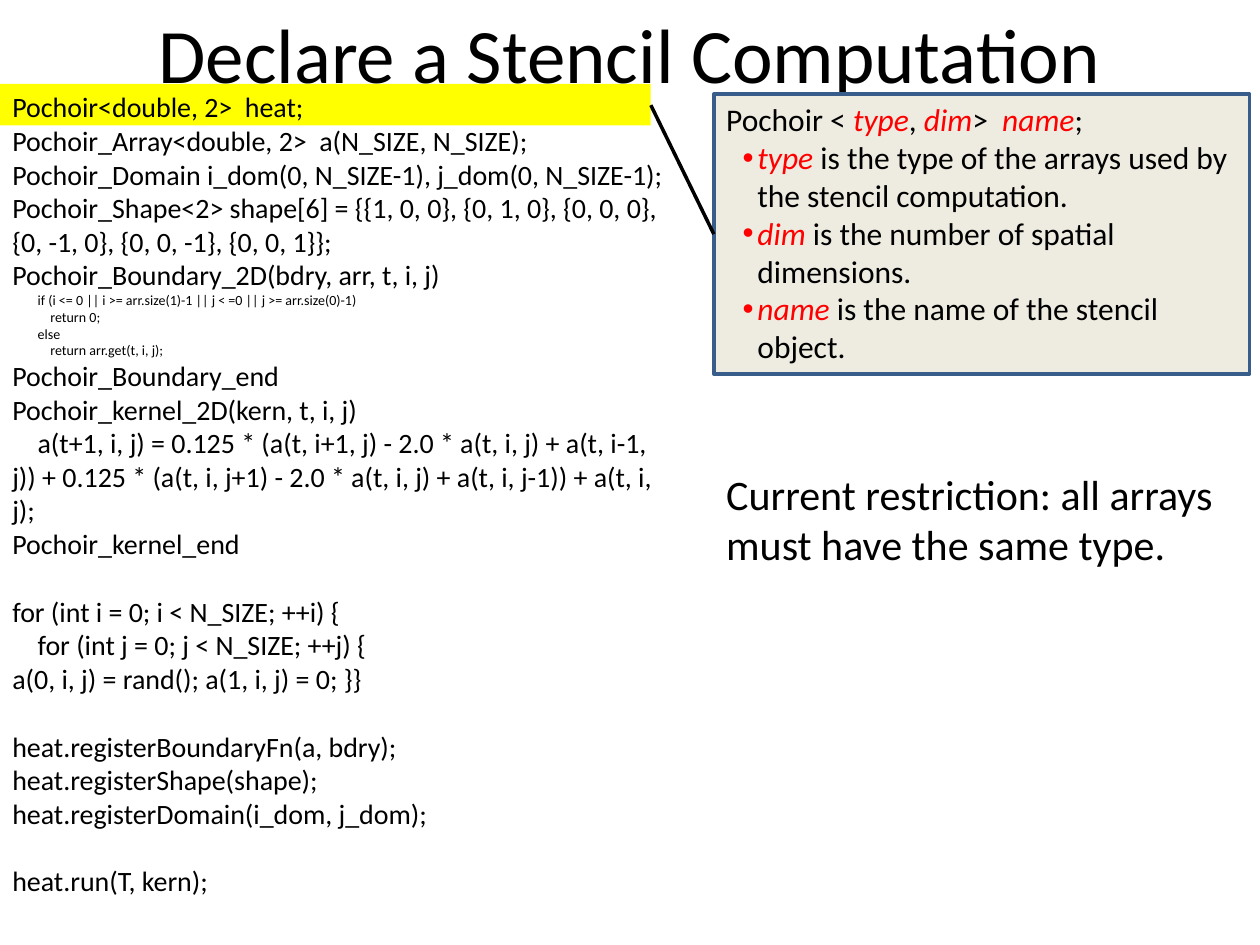
from lxml import etree
from pptx import Presentation
from pptx import util as u
from pptx.dml.color import RGBColor
from pptx.enum import shapes, text
from pptx.oxml.ns import qn

BLACK = RGBColor(0x00, 0x00, 0x00)
RED = RGBColor(0xFF, 0x00, 0x00)
YELLOW = RGBColor(0xFF, 0xFF, 0x00)
CREAM = RGBColor(0xEE, 0xEC, 0xE1)
NAVY = RGBColor(0x38, 0x5D, 0x8A)
FONT = "Calibri"
STEP = 0.51  # one code indent, in cm
BLANK_LINE = 19.5  # height of an empty code line, in points

# Code blocks: (size, lines); each line is (indent steps, text)
CODE = [
    [(16, [(0, "Pochoir<double, 2>  heat;"),
           (0, "Pochoir_Array<double, 2>  a(N_SIZE, N_SIZE);"),
           (0, "Pochoir_Domain i_dom(0, N_SIZE-1), j_dom(0, N_SIZE-1);"),
           (0, "Pochoir_Shape<2> shape[6] = {{1, 0, 0}, {0, 1, 0}, {0, 0, 0}, "
               "{0, -1, 0}, {0, 0, -1}, {0, 0, 1}};"),
           (0, "Pochoir_Boundary_2D(bdry, arr, t, i, j)")]),
     (8, [(1, "if (i <= 0 || i >= arr.size(1)-1 || j < =0 || j >= arr.size(0)-1)"),
          (1.5, "return 0;"),
          (1, "else"),
          (1.5, "return arr.get(t, i, j);")]),
     (16, [(0, "Pochoir_Boundary_end"),
           (0, "Pochoir_kernel_2D(kern, t, i, j)"),
           (1, "a(t+1, i, j) = 0.125 * (a(t, i+1, j) - 2.0 * a(t, i, j) + a(t, i-1, j)) "
               "+ 0.125 * (a(t, i, j+1) - 2.0 * a(t, i, j) + a(t, i, j-1)) + a(t, i, j);"),
           (0, "Pochoir_kernel_end")])],
    [(16, [(0, "for (int i = 0; i < N_SIZE; ++i) {"),
           (1, "for (int j = 0; j < N_SIZE; ++j) {"),
           (0, "a(0, i, j) = rand(); a(1, i, j) = 0; }}")])],
    [(16, [(0, "heat.registerBoundaryFn(a, bdry);"),
           (0, "heat.registerShape(shape);"),
           (0, "heat.registerDomain(i_dom, j_dom);")])],
    [(16, [(0, "heat.run(T, kern);")])],
]

# Callout runs: (text, is a term)
SYNTAX = [("Pochoir < ", False), ("type", True), (", ", False), ("dim", True),
          (">  ", False), ("name", True), (";", False)]
TERMS = [
    [("type ", True), ("is the type of the arrays used by the stencil computation.", False)],
    [("dim", True), (" is the number of spatial dimensions.", False)],
    [("name ", True), ("is the name of the stencil object.", False)],
]


def add_run(paragraph, words, size, color=BLACK, italic=False):
    run = paragraph.add_run()
    run.text = words
    run.font.name, run.font.size = FONT, u.Pt(size)
    run.font.color.rgb, run.font.italic = color, italic


def next_paragraph(frame):
    first = frame.paragraphs[0]
    return frame.add_paragraph() if first.runs else first


def set_indent(paragraph, left, first_line):
    properties = paragraph._p.get_or_add_pPr()
    properties.set("marL", str(u.Cm(left)))
    properties.set("indent", str(u.Cm(first_line)))
    return properties


def add_rectangle(slide, box, fill):
    rectangle = slide.shapes.add_shape(shapes.MSO_SHAPE.RECTANGLE, *map(u.Cm, box))
    rectangle.shadow.inherit = False
    rectangle.fill.solid()
    rectangle.fill.fore_color.rgb = fill
    rectangle.line.fill.background()
    return rectangle


def add_text_frame(slide, box):
    frame = slide.shapes.add_textbox(*map(u.Cm, box)).text_frame
    frame.word_wrap = True
    return frame


def add_title(slide, box, words):
    title = slide.shapes.title
    title.left, title.top, title.width, title.height = map(u.Cm, box)
    frame = title.text_frame
    frame.auto_size = text.MSO_AUTO_SIZE.NONE
    frame.vertical_anchor = text.MSO_ANCHOR.MIDDLE
    frame.paragraphs[0].alignment = text.PP_ALIGN.CENTER
    add_run(frame.paragraphs[0], words, 44)


def add_code(slide, box):
    left, top, width, height = box
    # Highlight behind the first line
    add_rectangle(slide, (left, top, width - 0.64, 0.84), YELLOW)
    frame = add_text_frame(slide, box)
    for number, block in enumerate(CODE):
        gap = BLANK_LINE if number else 0
        for size, lines in block:
            for steps, words in lines:
                paragraph = next_paragraph(frame)
                set_indent(paragraph, 0, steps * STEP)
                paragraph.space_before = u.Pt(gap)
                add_run(paragraph, words, size)
                gap = 0


def add_callout(slide, box):
    callout = add_rectangle(slide, box, CREAM)
    callout.line.color.rgb, callout.line.width = NAVY, u.Pt(2)
    frame = callout.text_frame
    frame.word_wrap = True
    frame.vertical_anchor = text.MSO_ANCHOR.TOP
    for number, runs in enumerate([SYNTAX] + TERMS):
        paragraph = next_paragraph(frame)
        paragraph.alignment = text.PP_ALIGN.LEFT
        if number:
            properties = set_indent(paragraph, 0.63, -0.3)
            etree.SubElement(properties, qn("a:buFont"), typeface="Arial")
            etree.SubElement(properties, qn("a:buChar"), char="\u2022")
        for words, is_term in runs:
            add_run(paragraph, words, 18, RED if is_term else BLACK, is_term)


def add_leader(slide, start, end):
    leader = slide.shapes.add_connector(
        shapes.MSO_CONNECTOR.STRAIGHT, *map(u.Cm, start + end))
    leader.line.color.rgb, leader.line.width = BLACK, u.Pt(2)
    etree.SubElement(leader._element.spPr, qn("a:effectLst"))


def add_note(slide, box, words):
    add_run(add_text_frame(slide, box).paragraphs[0], words, 24)


presentation = Presentation()
presentation.slide_width, presentation.slide_height = u.Cm(25.4), u.Cm(19.05)
slide = presentation.slides.add_slide(presentation.slide_layouts[5])  # title only

add_title(slide, (1.27, 0, 22.86, 2.12), "Declare a Stencil Computation")
add_code(slide, (0, 1.69, 13.76, 16.66))
add_callout(slide, (14.39, 1.9, 10.8, 5.64))
add_leader(slide, (13.12, 2.12), (14.39, 4.72))
add_note(slide, (14.39, 9.31, 10.8, 2.31),
         "Current restriction: all arrays must have the same type.")

presentation.save("out.pptx")
